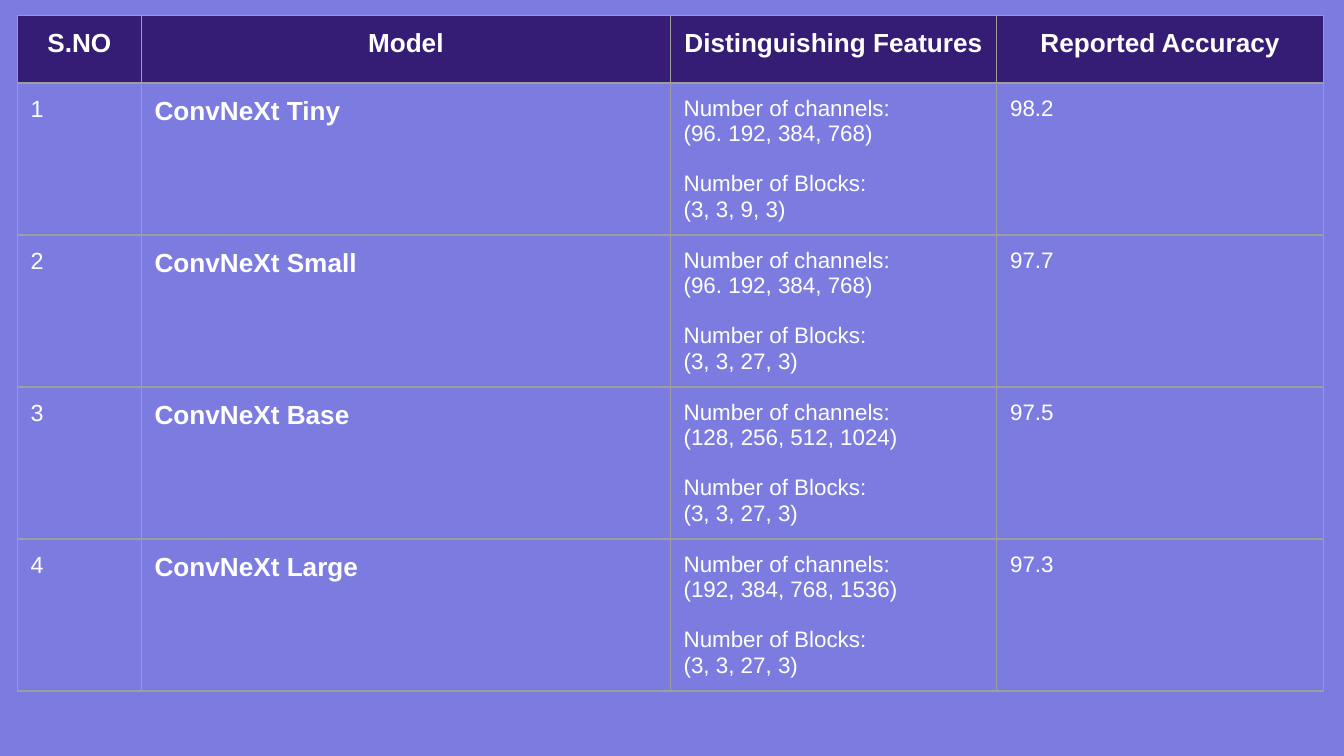
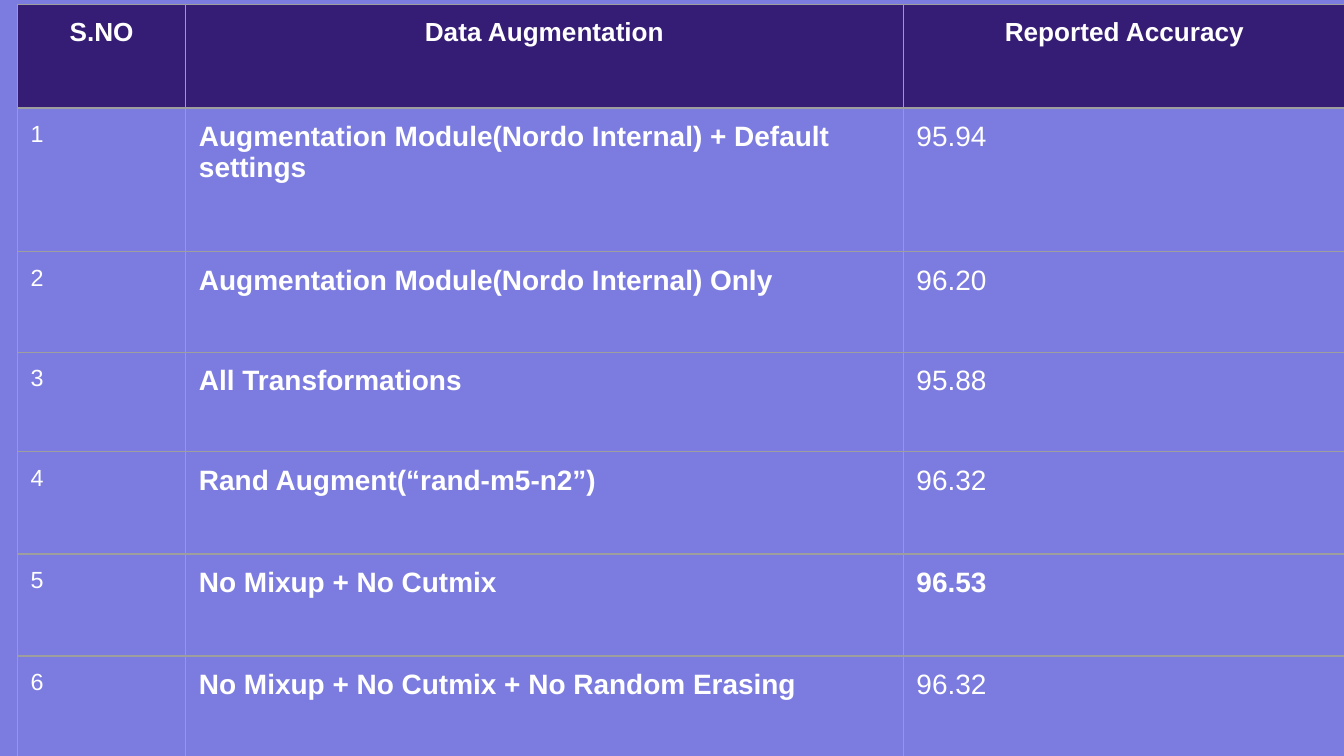
from lxml import etree
from pptx import Presentation
from pptx.dml.color import RGBColor
from pptx.enum.text import PP_ALIGN
from pptx.oxml.ns import qn
from pptx.util import Cm, Pt

CENTER, LEFT = PP_ALIGN.CENTER, PP_ALIGN.LEFT
FONT = "Arial"
BACKGROUND, HEADER_FILL, TEXT, BORDER = "7C7CE0", "351C75", "FFFFFF", "9E9E9E"
BORDER_WIDTH = Pt(0.75)
CELL_MARGIN = Cm(0.25)
TABLE_LEFT = 0.33
HEADER_STYLE = (14, True)
BLANK_LAYOUT = 6

MODELS = [
    ("ConvNeXt Tiny", "96. 192, 384, 768", "3, 3, 9, 3", "98.2"),
    ("ConvNeXt Small", "96. 192, 384, 768", "3, 3, 27, 3", "97.7"),
    ("ConvNeXt Base", "128, 256, 512, 1024", "3, 3, 27, 3", "97.5"),
    ("ConvNeXt Large", "192, 384, 768, 1536", "3, 3, 27, 3", "97.3"),
]
AUGMENTATIONS = [
    ("Augmentation Module(Nordo Internal) + Default settings", "95.94"),
    ("Augmentation Module(Nordo Internal) Only", "96.20"),
    ("All Transformations", "95.88"),
    ("Rand Augment(“rand-m5-n2”)", "96.32"),
    ("No Mixup + No Cutmix", "96.53"),
    ("No Mixup + No Cutmix + No Random Erasing", "96.32"),
]
BEST_ACCURACY = max(accuracy for _, accuracy in AUGMENTATIONS)


def color(hex_string):
    return RGBColor.from_string(hex_string)


class Deck:
    """Holds the shared style and the current slide."""

    def __init__(self):
        self.presentation = Presentation()
        self.presentation.slide_width = Cm(25.4)
        self.presentation.slide_height = Cm(14.29)
        fill = self.presentation.slide_master.background.fill
        fill.solid()
        fill.fore_color.rgb = color(BACKGROUND)
        self.slide = None

    def add_slide(self):
        layout = self.presentation.slide_layouts[BLANK_LAYOUT]
        self.slide = self.presentation.slides.add_slide(layout)

    def add_table(self, top, widths, heights, headers, rows, column_styles):
        """Add a numbered table; lengths in cm, styles are (size, bold) pairs."""
        frame = self.slide.shapes.add_table(
            len(heights), len(widths), Cm(TABLE_LEFT), Cm(top),
            Cm(sum(widths)), Cm(sum(heights)))
        table = frame.table
        table.first_row = table.horz_banding = False
        for column, width in zip(table.columns, widths):
            column.width = Cm(width)
        for row, height in zip(table.rows, heights):
            row.height = Cm(height)
        for index, header in enumerate(headers):
            cell = table.cell(0, index)
            self.format_cell(cell, header, HEADER_STYLE, CENTER, HEADER_FILL)
        for number, values in enumerate(rows, start=1):
            for index, value in enumerate((str(number), *values)):
                self.format_cell(table.cell(number, index), value, column_styles[index])
        return table

    def format_cell(self, cell, text, style, alignment=LEFT, fill=None):
        size, bold = style
        cell.margin_left = cell.margin_right = CELL_MARGIN
        cell.margin_top = cell.margin_bottom = CELL_MARGIN
        self.add_borders(cell)
        if fill:
            cell.fill.solid()
            cell.fill.fore_color.rgb = color(fill)
        else:
            cell.fill.background()
        cell.text_frame.text = text
        for paragraph in cell.text_frame.paragraphs:
            paragraph.alignment = alignment
            for run in paragraph.runs:
                run.font.name = FONT
                run.font.size = Pt(size)
                run.font.bold = bold
                run.font.color.rgb = color(TEXT)

    def add_borders(self, cell):
        properties = cell._tc.get_or_add_tcPr()
        for side in ("a:lnL", "a:lnR", "a:lnT", "a:lnB"):
            line = etree.SubElement(properties, qn(side), w=str(BORDER_WIDTH))
            fill = etree.SubElement(line, qn("a:solidFill"))
            etree.SubElement(fill, qn("a:srgbClr"), val=BORDER)


def build_model_slide(deck):
    deck.add_slide()
    rows = [
        (model,
         f"Number of channels:\n({channels})\nNumber of Blocks:\n({blocks})",
         accuracy)
        for model, channels, blocks, accuracy in MODELS
    ]
    table = deck.add_table(
        top=0.3,
        widths=[2.34, 10, 6.17, 6.17],
        heights=[1.27] + [2.87] * len(rows),
        headers=["S.NO", "Model", "Distinguishing Features", "Reported Accuracy"],
        rows=rows,
        column_styles=[(12.5, False), (14, True), (12, False), (12, False)])
    for number in range(1, len(rows) + 1):
        blocks_heading = table.cell(number, 2).text_frame.paragraphs[2]
        blocks_heading.space_before = Pt(13.5)


def build_augmentation_slide(deck):
    deck.add_slide()
    table = deck.add_table(
        top=0.08,
        widths=[3.18, 13.56, 8.36],
        heights=[1.96, 2.72, 1.9, 1.88, 1.93, 1.93, 1.93],
        headers=["S.NO", "Data Augmentation", "Reported Accuracy"],
        rows=AUGMENTATIONS,
        column_styles=[(12.5, False), (15, True), (15, False)])
    for number, (_, accuracy) in enumerate(AUGMENTATIONS, start=1):
        if accuracy == BEST_ACCURACY:
            table.cell(number, 2).text_frame.paragraphs[0].runs[0].font.bold = True


def main():
    deck = Deck()
    build_model_slide(deck)
    build_augmentation_slide(deck)
    deck.presentation.save("out.pptx")


if __name__ == "__main__":
    main()
